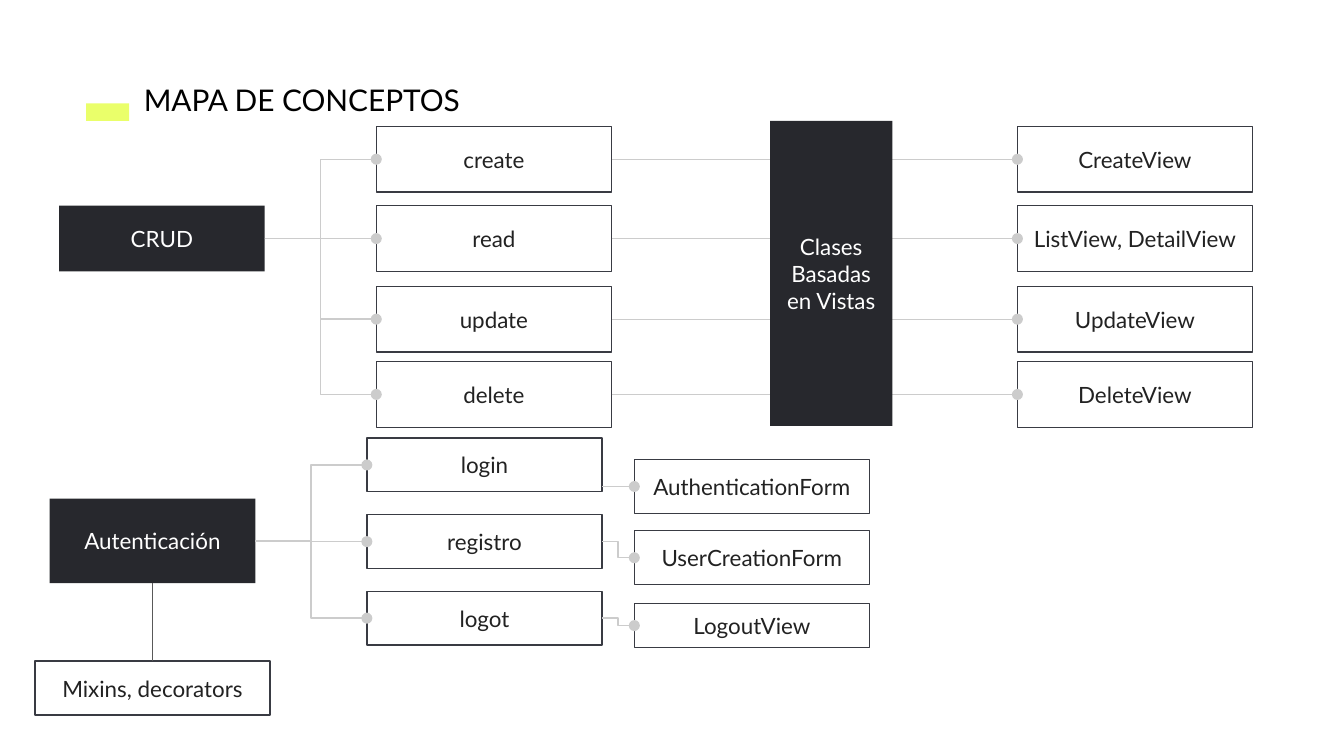
from dataclasses import dataclass

from lxml import etree
from pptx import Presentation
from pptx import util as u
from pptx.dml.color import RGBColor
from pptx.enum import shapes, text
from pptx.oxml.ns import qn

TOP, LEFT, BOTTOM, RIGHT = range(4)


@dataclass(frozen=True)
class Theme:
    font: str = "Lato"
    title_size: int = 16
    body_size: int = 12
    line_width: float = 0.75
    title: str = "000000"
    accent: str = "EAFF6A"
    dark: str = "27282D"
    light_text: str = "FFFFFF"
    dark_text: str = "222222"
    outline: str = "393B43"
    link: str = "CCCCCC"
    stem: str = "595959"


class ConceptMap:
    def __init__(self, page, theme):
        self.page = page
        self.theme = theme

    def style_text(self, frame, size, color, align):
        frame.word_wrap = True
        frame.margin_left = frame.margin_right = u.Inches(0.1)
        frame.margin_top = frame.margin_bottom = u.Inches(0.1)
        for para in frame.paragraphs:
            para.alignment = align
            for span in para.runs:
                span.font.name = self.theme.font
                span.font.size = u.Pt(size)
                span.font.color.rgb = RGBColor.from_string(color)

    def title(self, words, left, top, width, height):
        box = self.page.shapes.title
        box.left, box.top = u.Inches(left), u.Inches(top)
        box.width, box.height = u.Inches(width), u.Inches(height)
        frame = box.text_frame
        frame.text = words
        frame.vertical_anchor = text.MSO_ANCHOR.TOP
        frame.auto_size = text.MSO_AUTO_SIZE.SHAPE_TO_FIT_TEXT
        self.style_text(frame, self.theme.title_size, self.theme.title, text.PP_ALIGN.LEFT)

    def block(self, left, top, width, height, fill=None):
        """Add a rectangle: filled without a line, or outlined without a fill."""
        box = self.page.shapes.add_shape(
            shapes.MSO_SHAPE.RECTANGLE,
            u.Inches(left), u.Inches(top), u.Inches(width), u.Inches(height))
        box.shadow.inherit = False
        if fill:
            box.fill.solid()
            box.fill.fore_color.rgb = RGBColor.from_string(fill)
            box.line.fill.background()
        else:
            box.fill.background()
            box.line.color.rgb = RGBColor.from_string(self.theme.outline)
            box.line.width = u.Pt(self.theme.line_width)
        return box

    def concept(self, words, left, top, width, height, dark=False):
        theme = self.theme
        box = self.block(left, top, width, height, theme.dark if dark else None)
        frame = box.text_frame
        frame.text = words
        frame.vertical_anchor = text.MSO_ANCHOR.MIDDLE
        color = theme.light_text if dark else theme.dark_text
        self.style_text(frame, theme.body_size, color, text.PP_ALIGN.CENTER)
        return box

    def column(self, names, left, tops, width, height):
        return [self.concept(name, left, top, width, height)
                for name, top in zip(names, tops)]

    def connector(self, kind, color, start=(0, 0), end=(0, 0)):
        line = self.page.shapes.add_connector(kind, *start, *end)
        line.line.color.rgb = RGBColor.from_string(color)
        line.line.width = u.Pt(self.theme.line_width)
        etree.SubElement(line._element.spPr, qn("a:effectLst"))
        return line

    def dot_end(self, line):
        etree.SubElement(line.line._get_or_add_ln(), qn("a:tailEnd"), type="oval")

    def branch(self, source, target):
        """Link the right side of source to the left side of target, ending in a dot."""
        line = self.connector(shapes.MSO_CONNECTOR.ELBOW, self.theme.link)
        line.begin_connect(source, RIGHT)
        line.end_connect(target, LEFT)
        self.dot_end(line)

    def level_link(self, source, target):
        """Link source to target at the height of the target's middle."""
        height = target.top + target.height // 2
        line = self.connector(
            shapes.MSO_CONNECTOR.STRAIGHT, self.theme.link,
            (source.left + source.width, height), (target.left, height))
        line.end_connect(target, LEFT)
        self.dot_end(line)

    def stem(self, upper, lower):
        line = self.connector(shapes.MSO_CONNECTOR.STRAIGHT, self.theme.stem)
        line.begin_connect(upper, BOTTOM)
        line.end_connect(lower, TOP)


def draw_crud(chart):
    tops = [0.94, 1.53, 2.13, 2.69]
    root = chart.concept("CRUD", 0.44, 1.53, 1.53, 0.49, dark=True)
    actions = chart.column(["create", "read", "update", "delete"], 2.8, tops, 1.75, 0.49)
    views = chart.column(
        ["CreateView", "ListView, DetailView", "UpdateView", "DeleteView"],
        7.57, tops, 1.75, 0.49)
    for action, view in zip(actions, views):
        chart.branch(root, action)
        chart.branch(action, view)
    chart.concept("Clases Basadas en Vistas", 5.73, 0.9, 0.91, 2.27, dark=True)


def draw_authentication(chart):
    root = chart.concept("Autenticación", 0.37, 3.71, 1.53, 0.63, dark=True)
    login, signup, logout = chart.column(
        ["login", "registro", "logot"], 2.73,
        [3.26 + 0.57 * row for row in range(3)], 1.75, 0.4)
    login_form, signup_form = chart.column(
        ["AuthenticationForm", "UserCreationForm"], 4.72, [3.42, 3.95], 1.75, 0.4)
    logout_view = chart.concept("LogoutView", 4.72, 4.49, 1.75, 0.33)
    for action in (login, signup, logout):
        chart.branch(root, action)
    chart.level_link(login, login_form)
    chart.branch(signup, signup_form)
    chart.branch(logout, logout_view)
    helpers = chart.concept("Mixins, decorators", 0.26, 4.92, 1.75, 0.4)
    chart.stem(root, helpers)


def main():
    deck = Presentation()
    deck.slide_width = u.Inches(10)
    deck.slide_height = deck.slide_width * 9 // 16
    theme = Theme()
    chart = ConceptMap(deck.slides.add_slide(deck.slide_layouts[5]), theme)
    chart.block(0.64, 0.77, 0.32, 0.13, theme.accent)
    chart.title("MAPA DE CONCEPTOS", 0.97, 0.51, 2.69, 0.47)
    draw_crud(chart)
    draw_authentication(chart)
    deck.save("out.pptx")


if __name__ == "__main__":
    main()
